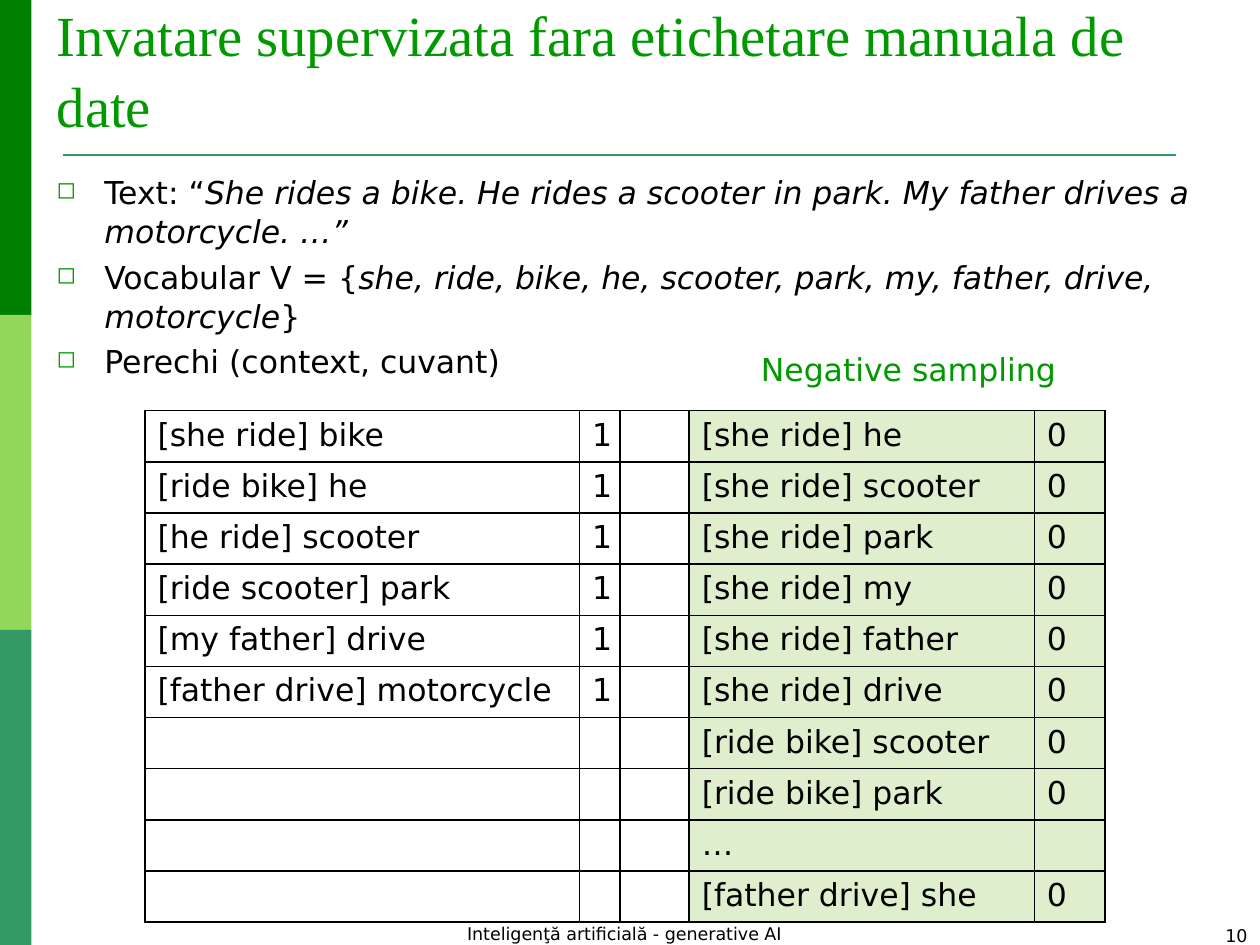
from lxml.etree import SubElement
from pptx import Presentation
from pptx.dml.color import RGBColor
from pptx.enum.shapes import MSO_CONNECTOR, MSO_SHAPE
from pptx.enum.text import MSO_ANCHOR, MSO_AUTO_SIZE, PP_ALIGN
from pptx.oxml.ns import qn
from pptx.util import Inches, Pt

SANS, SERIF = "DejaVu Sans", "Times New Roman"
GREEN, TEAL, BLACK, PALE = "009900", "339966", "000000", "DFEECC"
LINE_SPACING = 1.04

STRIPE_COLOURS = ["008000", "90D75B", TEAL]
# Each bullet is a list of (text, italic) runs
BULLETS = [
    [("Text: “", False),
     ("She rides a bike. He rides a scooter in park. "
      "My father drives a motorcycle. …”", True)],
    [("Vocabular V = {", False),
     ("she, ride, bike, he, scooter, park, my, father, drive, motorcycle", True),
     ("}", False)],
    [("Perechi (context, cuvant)", False)],
]
POSITIVE_PAIRS = ["[she ride] bike", "[ride bike] he", "[he ride] scooter",
                  "[ride scooter] park", "[my father] drive",
                  "[father drive] motorcycle"]
NEGATIVE_PAIRS = ["[she ride] he", "[she ride] scooter", "[she ride] park",
                  "[she ride] my", "[she ride] father", "[she ride] drive",
                  "[ride bike] scooter", "[ride bike] park", "…",
                  "[father drive] she"]
COLUMN_WIDTHS = [3.45, 0.32, 0.55, 2.74, 0.56]
ROW_HEIGHT = 0.406
FIRST_NEGATIVE_COLUMN = 3


def rgb(colour):
    return RGBColor.from_string(colour)


def box(left, top, width, height):
    return [Inches(value) for value in (left, top, width, height)]


def add_run(paragraph, text, size=18, colour=BLACK, font=SANS, italic=False):
    run = paragraph.add_run()
    run.text = text
    formats = {"name": font, "size": Pt(size), "italic": italic}
    for attribute, value in formats.items():
        setattr(run.font, attribute, value)
    run.font.color.rgb = rgb(colour)


def add_label(slide, place, text, align=PP_ALIGN.LEFT, **run_format):
    frame = slide.shapes.add_textbox(*box(*place)).text_frame
    frame.word_wrap = True
    frame.paragraphs[0].alignment = align
    add_run(frame.paragraphs[0], text, **run_format)


def add_stripes(slide):
    for index, colour in enumerate(STRIPE_COLOURS):
        stripe = slide.shapes.add_shape(
            MSO_SHAPE.RECTANGLE, *box(0, 2.5 * index, 0.25, 2.5))
        stripe.shadow.inherit = False
        stripe.fill.solid()
        stripe.fill.fore_color.rgb = rgb(colour)
        stripe.line.fill.background()


def add_title_rule(slide):
    rule = slide.shapes.add_connector(
        MSO_CONNECTOR.STRAIGHT, *box(0.5, 1.23, 9.33, 1.23))
    rule.line.color.rgb = rgb(TEAL)
    rule.line.width = Pt(1.5)
    SubElement(rule._element.spPr, qn("a:effectLst"))


def fill_title(slide, text):
    title = slide.shapes.title
    title.left, title.top, title.width, title.height = box(0.35, 0.13, 9.45, 1.02)
    frame = title.text_frame
    frame.auto_size = MSO_AUTO_SIZE.NONE
    frame.vertical_anchor = MSO_ANCHOR.BOTTOM
    paragraph = frame.paragraphs[0]
    paragraph.alignment = PP_ALIGN.LEFT
    paragraph.line_spacing = LINE_SPACING
    add_run(paragraph, text, 32.4, GREEN, SERIF)


def set_bullet(paragraph):
    properties = paragraph._p.get_or_add_pPr()
    properties.set("marL", str(Inches(0.38)))
    properties.set("indent", str(-Inches(0.38)))
    bullet_colour = SubElement(properties, qn("a:buClr"))
    SubElement(bullet_colour, qn("a:srgbClr"), val=GREEN)
    SubElement(properties, qn("a:buSzPct"), val="75000")
    SubElement(properties, qn("a:buChar"), char="◻")


def add_bullets(slide):
    frame = slide.shapes.add_textbox(*box(0.35, 1.31, 9.45, 5.98)).text_frame
    frame.word_wrap = True
    for index, runs in enumerate(BULLETS):
        paragraph = frame.add_paragraph() if index else frame.paragraphs[0]
        set_bullet(paragraph)
        paragraph.line_spacing = LINE_SPACING
        if index:
            paragraph.space_before = Pt(3.6)
        for text, italic in runs:
            add_run(paragraph, text, italic=italic)


def set_borders(cell):
    properties = cell._tc.get_or_add_tcPr()
    for position, side in enumerate(("a:lnL", "a:lnR", "a:lnT", "a:lnB")):
        border = properties.makeelement(qn(side), {"w": str(Pt(1))})
        fill = SubElement(border, qn("a:solidFill"))
        SubElement(fill, qn("a:srgbClr"), val=BLACK)
        properties.insert(position, border)


def pair_rows():
    for index, negative in enumerate(NEGATIVE_PAIRS):
        has_positive = index < len(POSITIVE_PAIRS)
        yield [POSITIVE_PAIRS[index] if has_positive else "",
               "1" if has_positive else "",
               "",
               negative,
               "" if negative == "…" else "0"]


def add_pairs_table(slide):
    row_count = len(NEGATIVE_PAIRS)
    table = slide.shapes.add_table(
        row_count, len(COLUMN_WIDTHS),
        *box(1.15, 3.26, sum(COLUMN_WIDTHS), ROW_HEIGHT * row_count)).table
    table.first_row = table.horz_banding = False
    for column, width in zip(table.columns, COLUMN_WIDTHS):
        column.width = Inches(width)
    for row, texts in zip(table.rows, pair_rows()):
        row.height = Inches(ROW_HEIGHT)
        for index, (cell, text) in enumerate(zip(row.cells, texts)):
            if index >= FIRST_NEGATIVE_COLUMN:
                cell.fill.solid()
                cell.fill.fore_color.rgb = rgb(PALE)
            else:
                cell.fill.background()
            set_borders(cell)
            if text:
                add_run(cell.text_frame.paragraphs[0], text)


def main():
    presentation = Presentation()
    presentation.slide_width, presentation.slide_height = Inches(10), Inches(7.5)
    slide = presentation.slides.add_slide(presentation.slide_layouts[5])

    # Frame and title
    add_stripes(slide)
    add_title_rule(slide)
    fill_title(slide, "Invatare supervizata fara etichetare manuala de date")

    # Content
    add_bullets(slide)
    add_pairs_table(slide)
    add_label(slide, (5.94, 2.73, 3.62, 0.4), "Negative sampling", colour=GREEN)

    # Footer and page number
    add_label(slide, (1.53, 7.28, 6.85, 0.27),
              "Inteligenţă artificială - generative AI", PP_ALIGN.CENTER, size=10)
    add_label(slide, (7.67, 7.29, 2.33, 0.21), "10", PP_ALIGN.RIGHT, size=10)

    presentation.save("out.pptx")


if __name__ == "__main__":
    main()
